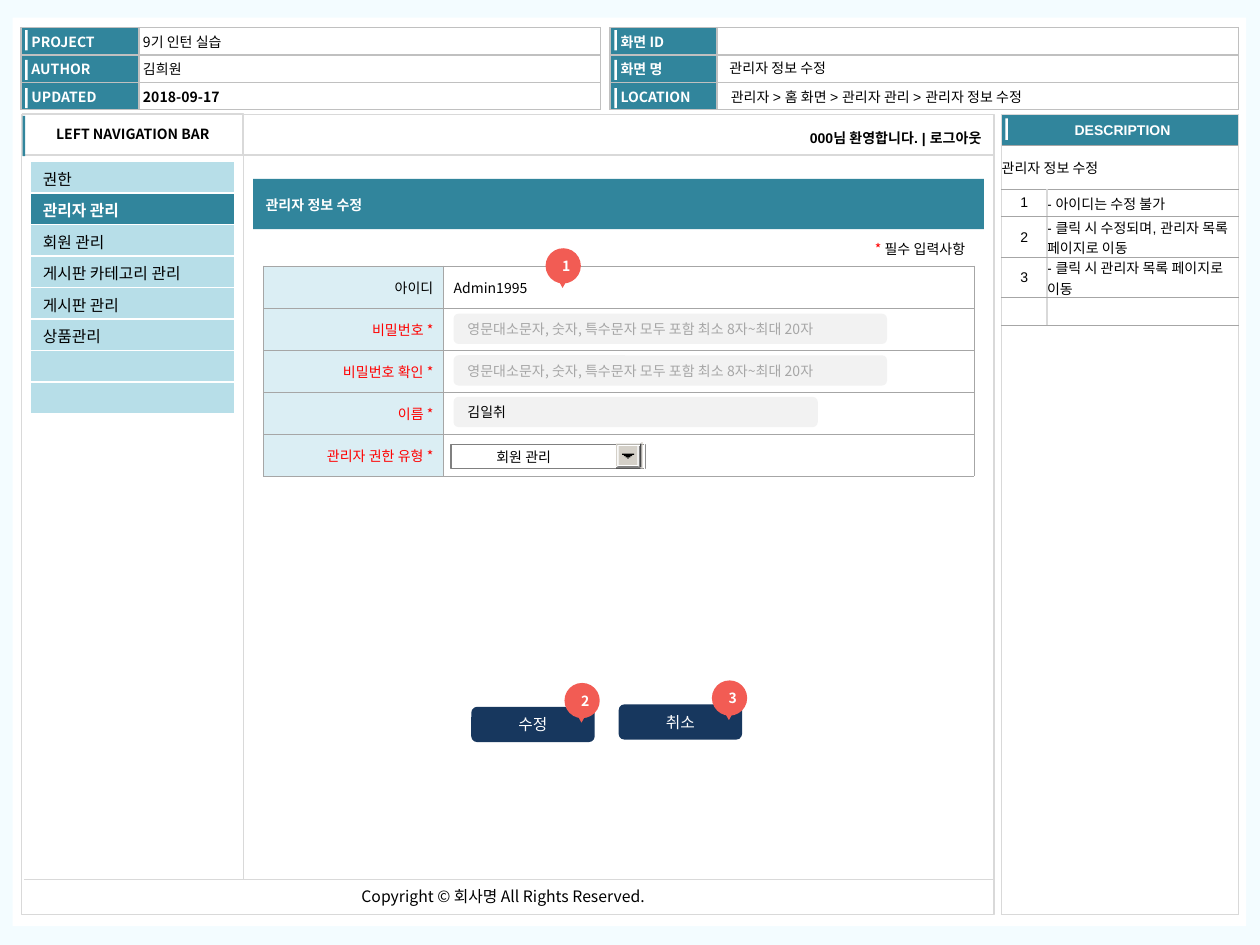
"""Build the wireframe page for editing an administrator's details."""
import dataclasses
import typing

import lxml.etree
import pptx
import pptx.dml.color
import pptx.enum.shapes
import pptx.enum.text
import pptx.oxml.ns
import pptx.util

SHAPE = pptx.enum.shapes.MSO_SHAPE
ALIGN = pptx.enum.text.PP_ALIGN
ANCHOR = pptx.enum.text.MSO_ANCHOR
GRID_COLUMNS, GRID_ROWS = 100, 75
UNIT = pptx.util.Inches(10) // GRID_COLUMNS


@dataclasses.dataclass(frozen=True)
class Theme:
    page: str = "F3FCFF"
    white: str = "FFFFFF"
    black: str = "000000"
    teal: str = "31859C"
    sky: str = "B7DEE8"
    mist: str = "DBEEF4"
    navy: str = "17375E"
    coral: str = "F25C54"
    red: str = "FF0000"
    field: str = "F2F2F2"
    frame: str = "D9D9D9"
    silver: str = "C0C0C0"
    rule: str = "A6A6A6"
    face: str = "D4D0C8"
    shade: str = "808080"
    dark: str = "404040"
    sans: str = "Noto Sans CJK KR"
    plain: str = "Arial"
    small: float = 8
    medium: float = 9


THEME = Theme()


class Area(typing.NamedTuple):
    left: float
    top: float
    width: float
    height: float


class Style(typing.NamedTuple):
    color: str = THEME.black
    bold: bool = False
    size: float = THEME.small
    font: str = THEME.sans
    align: typing.Any = ALIGN.LEFT


class Inset(typing.NamedTuple):
    left: float = 1
    top: float = 0.5
    right: float = 1
    bottom: float = 0.5


class Cell(typing.NamedTuple):
    text: str = ""
    style: Style = Style()
    fill: typing.Optional[str] = THEME.white
    inset: Inset = Inset(0, 0, 0, 0)


class Edge(typing.NamedTuple):
    color: str
    width: float


TIGHT = Inset(0.8, 0.4, 0.8, 0.4)
HEADING = Style(THEME.white, True)
CENTERED = Style(align=ALIGN.CENTER)
ARIAL = Style(font=THEME.plain)
BUTTON = Style(THEME.white, size=THEME.medium, align=ALIGN.CENTER)


def units(value: float) -> int:
    return round(value * UNIT)


def rgb(color: str) -> pptx.dml.color.RGBColor:
    return pptx.dml.color.RGBColor.from_string(color)


def style_span(span, style: Style) -> None:
    span.font.name, span.font.size = style.font, pptx.util.Pt(style.size)
    span.font.bold, span.font.color.rgb = style.bold, rgb(style.color)
    lxml.etree.SubElement(span.font._element, pptx.oxml.ns.qn("a:ea"), typeface=THEME.sans)


def write(frame, text: str, style: Style) -> None:
    para = frame.paragraphs[0]
    para.text, para.alignment = text, style.align
    for span in para.runs:
        style_span(span, style)


def set_inset(target, inset: Inset) -> None:
    target.margin_left, target.margin_top, target.margin_right, target.margin_bottom = map(units, inset)


def draw_shape(shapes, area: Area, fill: typing.Optional[str] = None, line: typing.Optional[str] = None,
               kind=SHAPE.RECTANGLE, text: str = "", style: Style = Style(), inset: Inset = Inset()):
    box = shapes.add_shape(kind, *map(units, area))
    box.shadow.inherit = False
    if fill:
        box.fill.solid()
        box.fill.fore_color.rgb = rgb(fill)
    else:
        box.fill.background()
    if line:
        box.line.color.rgb, box.line.width = rgb(line), pptx.util.Pt(0.75)
    else:
        box.line.fill.background()
    if text:
        set_inset(box.text_frame, inset)
        box.text_frame.vertical_anchor = ANCHOR.MIDDLE
        write(box.text_frame, text, style)
    return box


def draw_text(shapes, area: Area, text: str, style: Style, inset: Inset = TIGHT, wrap: bool = True):
    box = shapes.add_textbox(*map(units, area))
    box.text_frame.word_wrap = wrap
    set_inset(box.text_frame, inset)
    write(box.text_frame, text, style)
    return box


def draw_line(shapes, start: tuple, end: tuple, width: float) -> None:
    line = shapes.add_connector(pptx.enum.shapes.MSO_CONNECTOR.STRAIGHT, *map(units, start + end))
    line.line.color.rgb, line.line.width = rgb(THEME.frame), pptx.util.Pt(width)
    lxml.etree.SubElement(line._element.spPr, pptx.oxml.ns.qn("a:effectLst"))


def set_edges(cell, side: Edge, level: Edge) -> None:
    for index, (tag, edge) in enumerate(zip(("lnL", "lnR", "lnT", "lnB"), (side, side, level, level))):
        line = lxml.etree.Element(pptx.oxml.ns.qn(f"a:{tag}"), w=str(pptx.util.Pt(edge.width)))
        fill = lxml.etree.SubElement(line, pptx.oxml.ns.qn("a:solidFill"))
        lxml.etree.SubElement(fill, pptx.oxml.ns.qn("a:srgbClr"), val=edge.color)
        cell._tc.get_or_add_tcPr().insert(index, line)


def draw_table(shapes, left: float, top: float, columns: list, rows: list, cells: list,
               side: Edge, level: typing.Optional[Edge] = None):
    area = Area(left, top, sum(columns), sum(rows))
    table = shapes.add_table(len(rows), len(columns), *map(units, area)).table
    table.first_row = table.horz_banding = False
    for column, width in zip(table.columns, columns):
        column.width = units(width)
    for row, height, entries in zip(table.rows, rows, cells):
        row.height = units(height)
        for cell, entry in zip(row.cells, entries):
            set_inset(cell, entry.inset)
            cell.vertical_anchor = ANCHOR.MIDDLE
            if entry.text:
                write(cell.text_frame, entry.text, entry.style)
            else:
                para = cell.text_frame.paragraphs[0]._p
                lxml.etree.SubElement(para, pptx.oxml.ns.qn("a:endParaRPr"), sz="800")
            if entry.fill:
                cell.fill.solid()
                cell.fill.fore_color.rgb = rgb(entry.fill)
            else:
                cell.fill.background()
            set_edges(cell, side, level or side)
    return table


def draw_header(shapes) -> None:
    names, keys = Inset(0.85, 0, 0.3, 0), Inset(0.3, 0, 0.3, 0)
    values = [("PROJECT", "9기 인턴 실습", False), ("AUTHOR", "김희원", False), ("UPDATED", "2018-09-17", True)]
    project = [[Cell(name, HEADING, THEME.teal, names), Cell(value, Style(bold=bold), inset=keys)]
               for name, value, bold in values]
    screen = [[Cell(name, HEADING, THEME.teal, names), Cell()] for name in ("화면 ID", "화면 명", "LOCATION")]
    for left, columns, cells in ((1.65, [9.4, 36.6], project), (4.84 * 10, [8.5, 41.4], screen)):
        draw_table(shapes, left, 2.2, columns, [2.17] * 3, cells, Edge(THEME.silver, 1))
        for top in (2.4, 4.75, 7):
            draw_shape(shapes, Area(left + 0.35, top, 0.2, 1.6), THEME.white)
    draw_text(shapes, Area(57.1, 4.3, 29, 2), "관리자 정보 수정", ARIAL)
    draw_text(shapes, Area(57.2, 6.6, 41.8, 2), "관리자 > 홈 화면 > 관리자 관리 > 관리자 정보 수정", ARIAL)


def draw_description(shapes) -> None:
    title = Cell("DESCRIPTION", Style(THEME.white, True, font=THEME.plain, align=ALIGN.CENTER),
                 THEME.teal, Inset(0.4, 0, 0, 0))
    frame = Edge(THEME.frame, 1)
    draw_table(shapes, 79.5, 9.1, [18.8], [2.5, 61], [[title], [Cell()]], frame)
    draw_shape(shapes, Area(79.8, 9.4, 0.2, 1.7), THEME.white)
    notes = ["- 아이디는 수정 불가", "- 클릭 시 수정되며, 관리자 목록 페이지로 이동", "- 클릭 시 관리자 목록 페이지로 이동"]
    cells = [[Cell("관리자 정보 수정", ARIAL), Cell()]]
    cells += [[Cell(str(number), ARIAL._replace(align=ALIGN.CENTER)), Cell(note, ARIAL)]
              for number, note in enumerate(notes, 1)]
    cells.append([Cell(), Cell()])
    table = draw_table(shapes, 79.5, 11.5, [3.6, 15.2], [3.5, 2.2, 3.25, 3.2, 2.2], cells,
                       frame, Edge(THEME.rule, 0.5))
    table.cell(0, 0).merge(table.cell(0, 1))


def draw_navigation(shapes) -> None:
    draw_shape(shapes, Area(1.8, 9, 17.5, 3.3), line=THEME.frame, text="LEFT NAVIGATION BAR",
               style=CENTERED._replace(bold=True))
    draw_shape(shapes, Area(1.8, 9.2, 0.2, 3.2), THEME.teal)
    draw_line(shapes, (19.3, 9.1), (19.3, 69.8), 0.75)
    draw_line(shapes, (19.3, 12.3), (78.9, 12.3), 1)
    draw_text(shapes, Area(52.9, 9.9, 25.8, 2.2), "000님 환영합니다. | 로그아웃",
              ARIAL._replace(bold=True, align=ALIGN.RIGHT))
    names, active = ["권한", "관리자 관리", "회원 관리", "게시판 카테고리 관리", "게시판 관리", "상품관리", "", ""], 1
    cells = [[Cell(name, Style(THEME.white if index == active else THEME.black, index == active, THEME.medium),
                   THEME.teal if index == active else THEME.sky, Inset(1, 0.4, 1, 0.2))]
             for index, name in enumerate(names)]
    draw_table(shapes, 2.4, 12.8, [16.2], [2.5] * len(cells), cells, Edge(THEME.white, 1))


def draw_marker(shapes, left: float, top: float, number: int) -> None:
    group = shapes.add_group_shape().shapes
    draw_shape(group, Area(left, top, 2.8, 2.8), THEME.coral, kind=SHAPE.OVAL, text=str(number),
               style=HEADING._replace(align=ALIGN.CENTER), inset=Inset(0.5, 0, 0, 0))
    tip = draw_shape(group, Area(left + 0.9, top + 2.35, 0.9, 0.8), THEME.coral, kind=SHAPE.ISOSCELES_TRIANGLE)
    tip.rotation = 180


def draw_select(shapes) -> None:
    draw_shape(shapes, Area(35.8, 35.3, 15.4, 1.9), THEME.white, THEME.shade, text="회원 관리",
               inset=Inset(3.6, 0, 0.8, 0))
    group = shapes.add_group_shape().shapes
    bevels = [(THEME.white, 51.1, 35, 0.1, 2.4), (THEME.face, 50.9, 35.1, 0.1, 2.1),
              (THEME.dark, 50.8, 35.2, 0.1, 1.9), (THEME.dark, 48.9, 37.1, 1.9, 0.1),
              (THEME.face, 48.9, 35.2, 0.1, 1.8), (THEME.face, 49, 35.2, 1.8, 0.1),
              (THEME.shade, 50.7, 35.4, 0.1, 1.7), (THEME.shade, 49, 37, 1.7, 0.1),
              (THEME.white, 49, 35.4, 0.1, 1.6), (THEME.white, 49.1, 35.4, 1.5, 0.1),
              (THEME.face, 49.1, 35.4, 1.5, 1.5)]
    for color, *area in bevels:
        draw_shape(group, Area(*area), color)
    for step in range(4):
        width = 0.94 - 0.28 * step
        draw_shape(group, Area(49.85 - width / 2, 36 + 0.1 * step, width, 0.1), THEME.black)


def draw_form(shapes) -> None:
    banner = shapes.add_group_shape().shapes
    draw_shape(banner, Area(20.1, 14.2, 58, 4), THEME.teal)
    draw_shape(banner, Area(20.1, 15.1, 51.4, 2.4), THEME.teal, text="관리자 정보 수정", style=HEADING)
    for left, top, label, number in ((37.4, 56.1, "수정", 2), (49.1, 55.9, "취소", 3)):
        draw_shape(shapes, Area(left, top, 9.8, 2.8), THEME.navy, kind=SHAPE.ROUNDED_RECTANGLE,
                   text=label, style=BUTTON)
        draw_marker(shapes, left + 7.4, top - 1.9, number)
    labels = ["아이디", "비밀번호 *", "비밀번호 확인 *", "이름 *", "관리자 권한 유형 *"]
    cells = [[Cell(label, Style(THEME.red if "*" in label else THEME.black, align=ALIGN.RIGHT), THEME.mist, TIGHT),
              Cell("" if index else "Admin1995", fill=None, inset=TIGHT)] for index, label in enumerate(labels)]
    draw_table(shapes, 20.9, 21.1, [14.3, 42.1], [3.34] * len(cells), cells, Edge(THEME.rule, 0.25))
    draw_select(shapes)
    draw_marker(shapes, 43.3, 19.7, 1)
    hint = "영문대소문자, 숫자, 특수문자 모두 포함 최소 8자~최대 20자"
    fields = [(34.4, hint, THEME.rule), (34.4, hint, THEME.rule), (28.9, "김일취", THEME.black)]
    for index, (width, text, color) in enumerate(fields):
        draw_shape(shapes, Area(36, 24.9 + 3.3 * index, width, 2.4), THEME.field,
                   kind=SHAPE.ROUNDED_RECTANGLE, text=text, style=Style(color))
    legend = draw_text(shapes, Area(63.4, 18.6, 14.2, 2.4), "* ", Style(THEME.red, align=ALIGN.RIGHT), Inset())
    span = legend.text_frame.paragraphs[0].add_run()
    span.text = "필수 입력사항"
    style_span(span, Style())


def main() -> None:
    deck = pptx.Presentation()
    deck.slide_width, deck.slide_height = units(GRID_COLUMNS), units(GRID_ROWS)
    page = deck.slides.add_slide(deck.slide_layouts[6])
    page.background.fill.solid()
    page.background.fill.fore_color.rgb = rgb(THEME.page)
    shapes = page.shapes
    draw_shape(shapes, Area(1, 1.4, 97.9, 72.1), THEME.white)
    draw_header(shapes)
    draw_shape(shapes, Area(1.7, 9.1, 77.2, 63.5), line=THEME.frame)
    draw_description(shapes)
    draw_line(shapes, (1.9, 69.8), (78.9, 69.8), 1)
    draw_text(shapes, Area(27.7, 69.9, 25.2, 2.5), "Copyright © 회사명 All Rights Reserved.",
              Style(size=THEME.medium), Inset(), wrap=False)
    draw_navigation(shapes)
    draw_form(shapes)
    deck.save("out.pptx")


if __name__ == "__main__":
    main()
